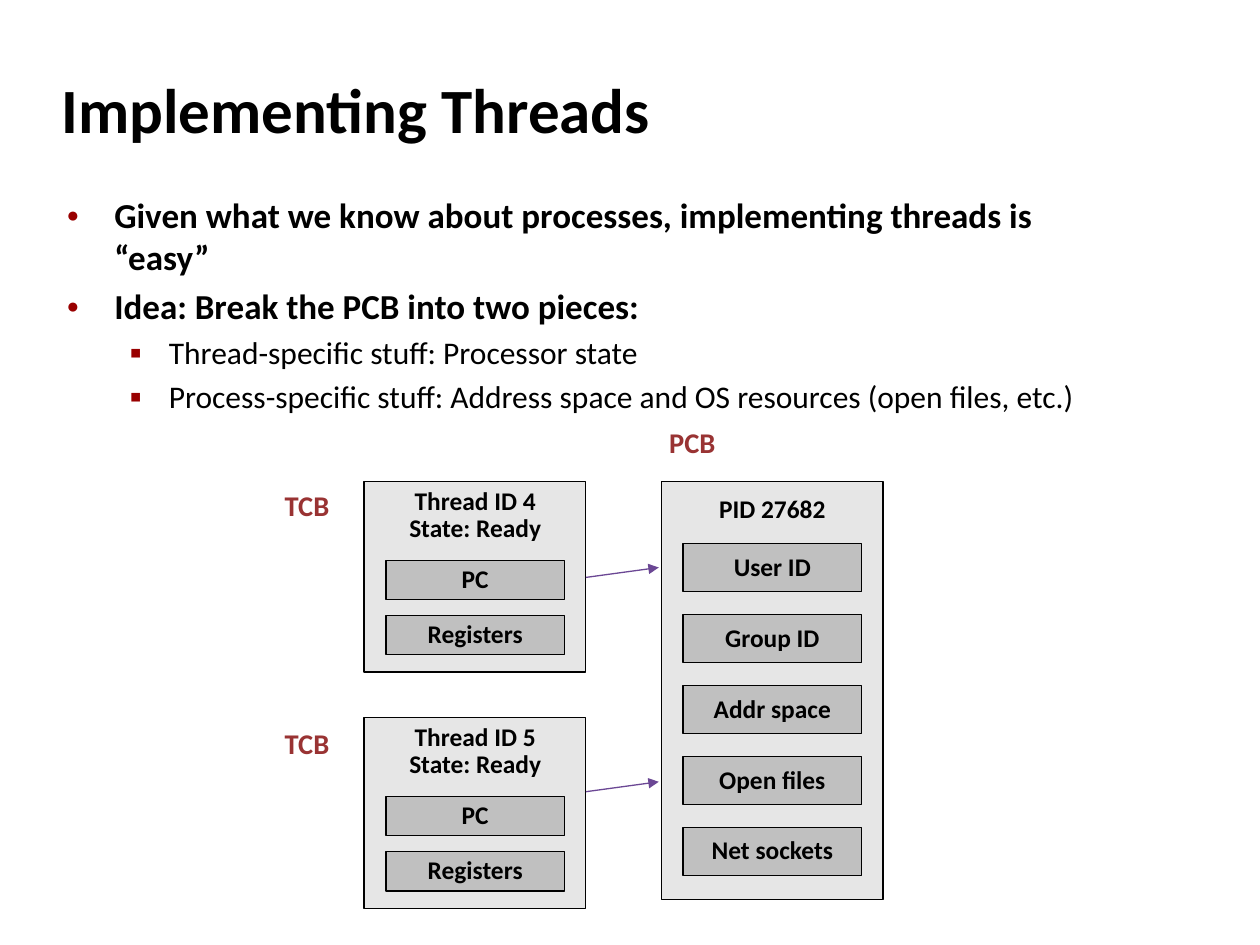
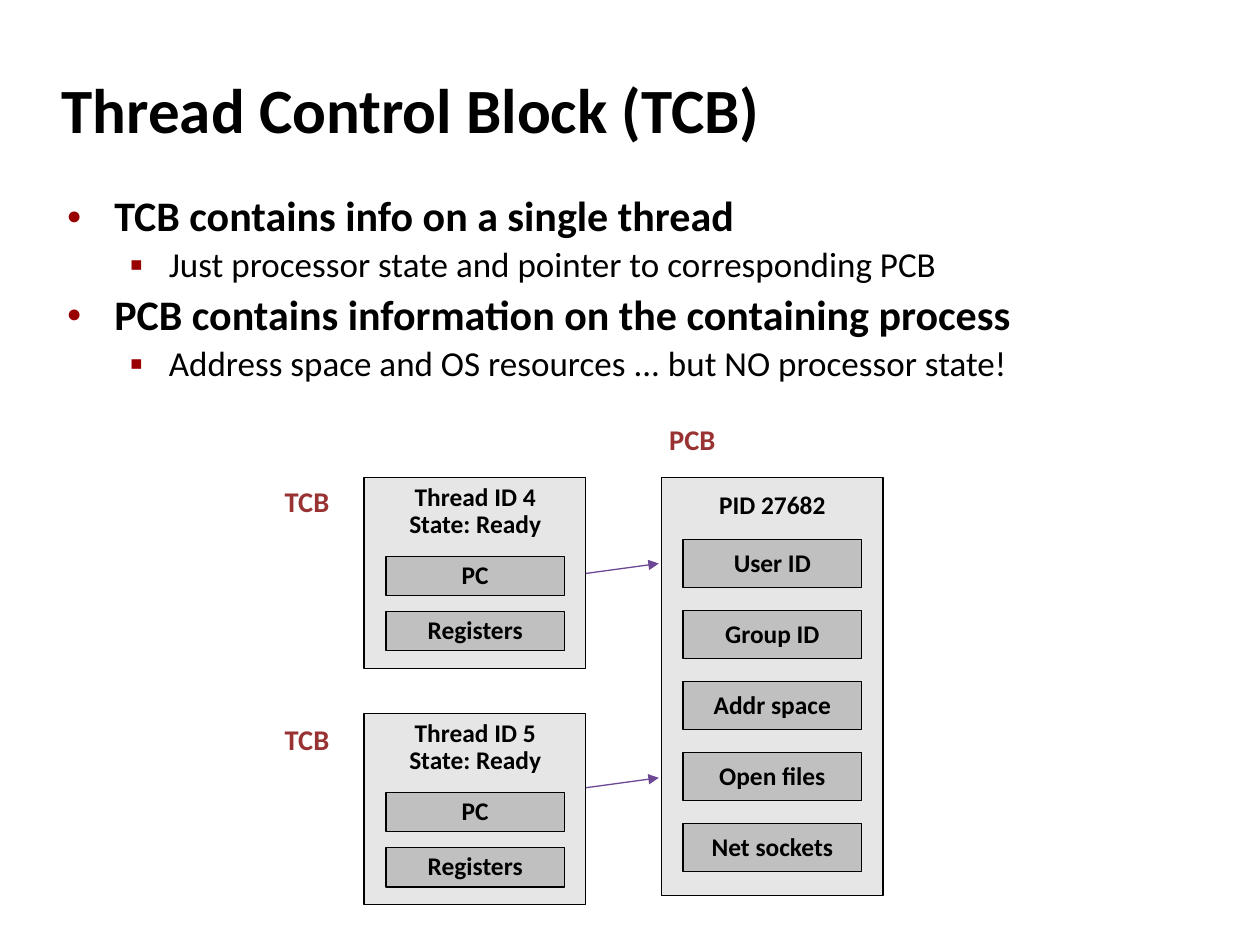
from dataclasses import dataclass

from lxml import etree
from pptx import Presentation
from pptx import util as u
from pptx.dml.color import RGBColor
from pptx.enum import shapes, text as t
from pptx.oxml import ns

COLORS = {
    "text": "000000",
    "bullet": "990000",
    "label": "993333",
    "block": "E6E6E6",
    "field": "C0C0C0",
    "arrow": "6B4794",
}
FONT = "Calibri"
FIRST_LINE, NEXT_LINE = 0.93, 0.9

BLOCK_WIDTH = 4.47
FIELD_WIDTH = 3.6
FIELD_INSET = 0.44
TCB_LEFT, PCB_LEFT = 7.34, 13.33
TCB_STEP, ARROW_STEP, LABEL_STEP = 4.76, 4.32, 4.8


@dataclass(frozen=True)
class Bullet:
    character: str
    percent: int
    margin: float
    hanging: float


@dataclass(frozen=True)
class Item:
    text: str
    level: int = 0


@dataclass(frozen=True)
class Topic:
    title: str
    items: tuple[Item, ...]
    sizes: tuple[float, float]
    tight: bool
    diagram_top: float


@dataclass(frozen=True)
class Block:
    left: float
    height: float
    header: tuple[str, ...]
    header_offset: float
    fields: tuple[str, ...]
    field_offset: float
    field_step: float
    field_height: float


BULLETS = (Bullet("●", 60, 0.96, 0.96), Bullet("▪", 110, 2.06, 0.79))

TOPICS = (
    Topic(
        "Implementing Threads",
        (
            Item("Given what we know about processes, implementing threads is “easy”"),
            Item("Idea: Break the PCB into two pieces:"),
            Item("Thread-specific stuff: Processor state", 1),
            Item("Process-specific stuff: Address space and OS resources (open files, etc.)", 1),
        ),
        (20, 18), False, 9.71,
    ),
    Topic(
        "Thread Control Block (TCB)",
        (
            Item("TCB contains info on a single thread"),
            Item("Just processor state and pointer to corresponding PCB", 1),
            Item("PCB contains information on the containing process"),
            Item("Address space and OS resources ... but NO processor state!", 1),
        ),
        (24, 20), True, 9.63,
    ),
)

PCB = Block(PCB_LEFT, 8.43, ("PID 27682",), 0.28,
            ("User ID", "Group ID", "Addr space", "Open files", "Net sockets"),
            1.25, 1.43, 0.97)


def thread_block(thread_id: int) -> Block:
    return Block(TCB_LEFT, 3.84, (f"Thread ID {thread_id}", "State: Ready"), 0.12,
                 ("PC", "Registers"), 1.59, 1.11, 0.79)


def color(name: str) -> RGBColor:
    return RGBColor.from_string(COLORS[name])


def add_bullet(paragraph, bullet: Bullet) -> None:
    properties = paragraph._p.get_or_add_pPr()
    properties.set("marL", str(u.Cm(bullet.margin)))
    properties.set("indent", str(-u.Cm(bullet.hanging)))
    bullet_color = etree.SubElement(properties, ns.qn("a:buClr"))
    etree.SubElement(bullet_color, ns.qn("a:srgbClr"), val=COLORS["bullet"])
    etree.SubElement(properties, ns.qn("a:buSzPct"), val=str(bullet.percent * 1000))
    etree.SubElement(properties, ns.qn("a:buFont"), typeface="Arial")
    etree.SubElement(properties, ns.qn("a:buChar"), char=bullet.character)


def add_text(frame, content: str, *, size: float, bold: bool = True,
             color_name: str = "text", align=t.PP_ALIGN.LEFT,
             tight: bool = True, level: int = 0, bullet: Bullet | None = None) -> None:
    paragraph = frame.paragraphs[0]
    is_first = not paragraph.runs
    if not is_first:
        paragraph = frame.add_paragraph()
    paragraph.level = level
    paragraph.alignment = align
    if bullet:
        add_bullet(paragraph, bullet)
    if is_first:
        paragraph.space_before = u.Pt(0)
    if tight:
        paragraph.line_spacing = FIRST_LINE if is_first else NEXT_LINE
    run = paragraph.add_run()
    run.text = content
    run.font.name = FONT
    run.font.size = u.Pt(size)
    run.font.bold = bold
    run.font.color.rgb = color(color_name)


def place(shape, left: float, top: float, width: float, height: float) -> None:
    shape.left, shape.top = u.Cm(left), u.Cm(top)
    shape.width, shape.height = u.Cm(width), u.Cm(height)


def clear_margins(frame) -> None:
    frame.margin_left = frame.margin_right = frame.margin_top = frame.margin_bottom = 0


def add_box(slide, left: float, top: float, width: float, height: float,
            fill: str, caption: str = "") -> None:
    shape = slide.shapes.add_shape(shapes.MSO_SHAPE.ROUNDED_RECTANGLE, u.Cm(left),
                                   u.Cm(top), u.Cm(width), u.Cm(height))
    shape.adjustments[0] = 0
    shape.shadow.inherit = False
    shape.fill.solid()
    shape.fill.fore_color.rgb = color(fill)
    shape.line.color.rgb = color("text")
    shape.line.width = u.Pt(0.75)
    if caption:
        clear_margins(shape.text_frame)
        shape.text_frame.vertical_anchor = t.MSO_ANCHOR.MIDDLE
        add_text(shape.text_frame, caption, size=14.5, align=t.PP_ALIGN.CENTER)


def add_text_box(slide, left: float, top: float, width: float, height: float,
                 wrap: bool = True):
    frame = slide.shapes.add_textbox(u.Cm(left), u.Cm(top), u.Cm(width),
                                     u.Cm(height)).text_frame
    clear_margins(frame)
    frame.word_wrap = wrap
    return frame


def add_block(slide, block: Block, top: float) -> None:
    add_box(slide, block.left, top, BLOCK_WIDTH, block.height, "block")
    for index, field in enumerate(block.fields):
        field_top = top + block.field_offset + index * block.field_step
        add_box(slide, block.left + FIELD_INSET, field_top, FIELD_WIDTH,
                block.field_height, "field", field)
    header = add_text_box(slide, block.left + 0.26, top + block.header_offset, 3.96, 1.18)
    for line in block.header:
        add_text(header, line, size=14.5, align=t.PP_ALIGN.CENTER)


def add_label(slide, content: str, left: float, top: float) -> None:
    frame = add_text_box(slide, left, top, 1.3, 0.76, wrap=False)
    add_text(frame, content, size=16.3, color_name="label")


def add_arrow(slide, top: float) -> None:
    connector = slide.shapes.add_connector(
        shapes.MSO_CONNECTOR.STRAIGHT, u.Cm(TCB_LEFT + BLOCK_WIDTH), u.Cm(top),
        u.Cm(PCB_LEFT - 0.05), u.Cm(top - 0.2))
    connector.line.color.rgb = color("arrow")
    connector.line.width = u.Pt(0.75)
    etree.SubElement(connector.line._get_or_add_ln(), ns.qn("a:tailEnd"), type="triangle")
    etree.SubElement(connector._element.spPr, ns.qn("a:effectLst"))


def add_diagram(slide, top: float) -> None:
    add_block(slide, PCB, top)
    add_label(slide, "PCB", 13.49, top - 1.07)
    for index, thread_id in enumerate((4, 5)):
        add_block(slide, thread_block(thread_id), top + index * TCB_STEP)
        add_arrow(slide, top + 1.93 + index * ARROW_STEP)
        add_label(slide, "TCB", 5.74, top + 0.18 + index * LABEL_STEP)


def add_topic(presentation, topic: Topic) -> None:
    slide = presentation.slides.add_slide(presentation.slide_layouts[1])
    title, body = slide.shapes.title, slide.placeholders[1]
    place(title, 0.99, 1.22, 21.08, 2.11)
    place(body, 1.09, 3.78, 21.92, 13.82)
    for shape in (title, body):
        shape.text_frame.auto_size = t.MSO_AUTO_SIZE.NONE
    title.text_frame.vertical_anchor = t.MSO_ANCHOR.MIDDLE
    add_text(title.text_frame, topic.title, size=36)
    for item in topic.items:
        add_text(body.text_frame, item.text, size=topic.sizes[item.level],
                 bold=item.level == 0, tight=topic.tight, level=item.level,
                 bullet=BULLETS[item.level])
    add_diagram(slide, topic.diagram_top)


def main() -> None:
    presentation = Presentation()
    presentation.slide_width, presentation.slide_height = u.Cm(25.4), u.Cm(19.05)
    for topic in TOPICS:
        add_topic(presentation, topic)
    presentation.save("out.pptx")


if __name__ == "__main__":
    main()
